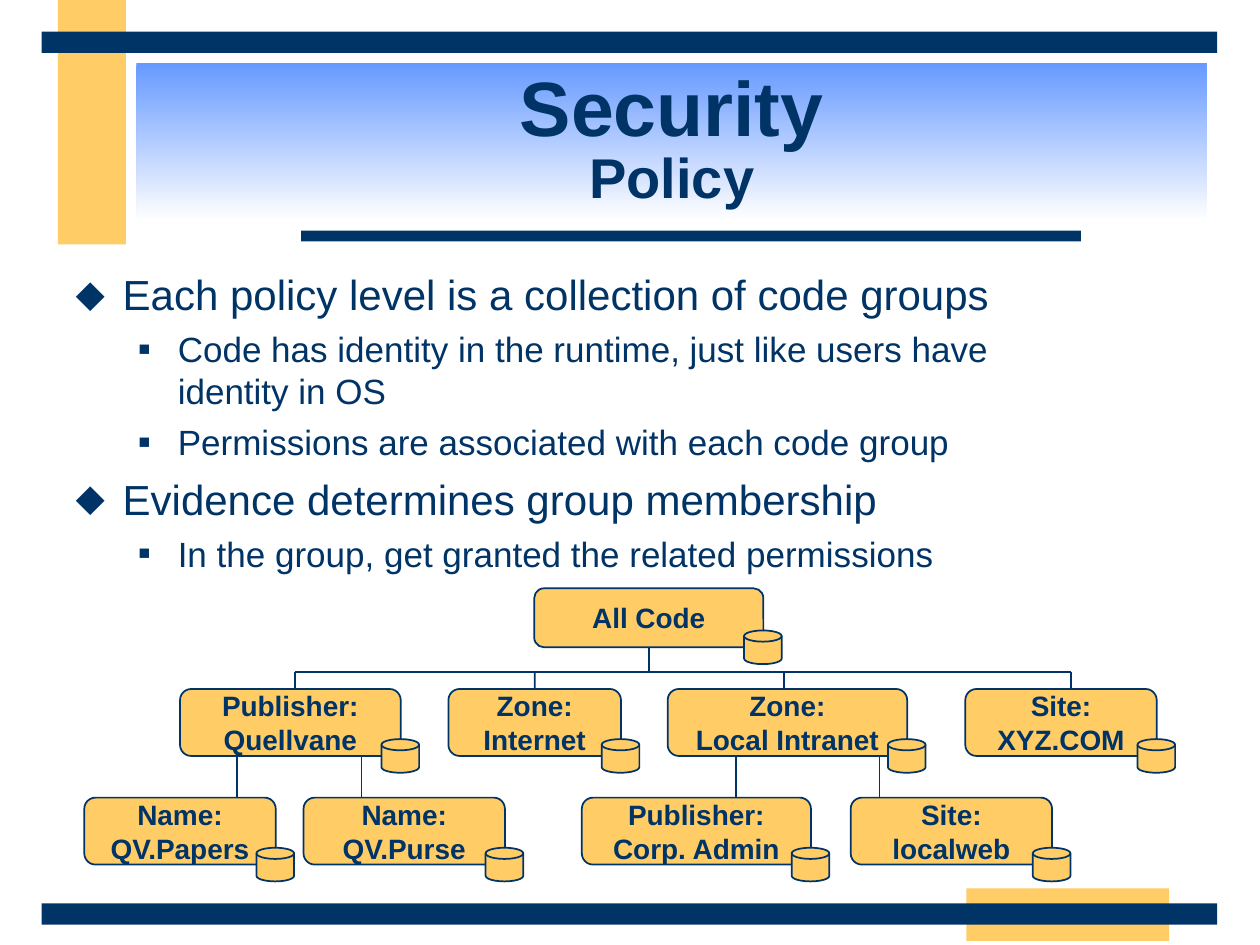
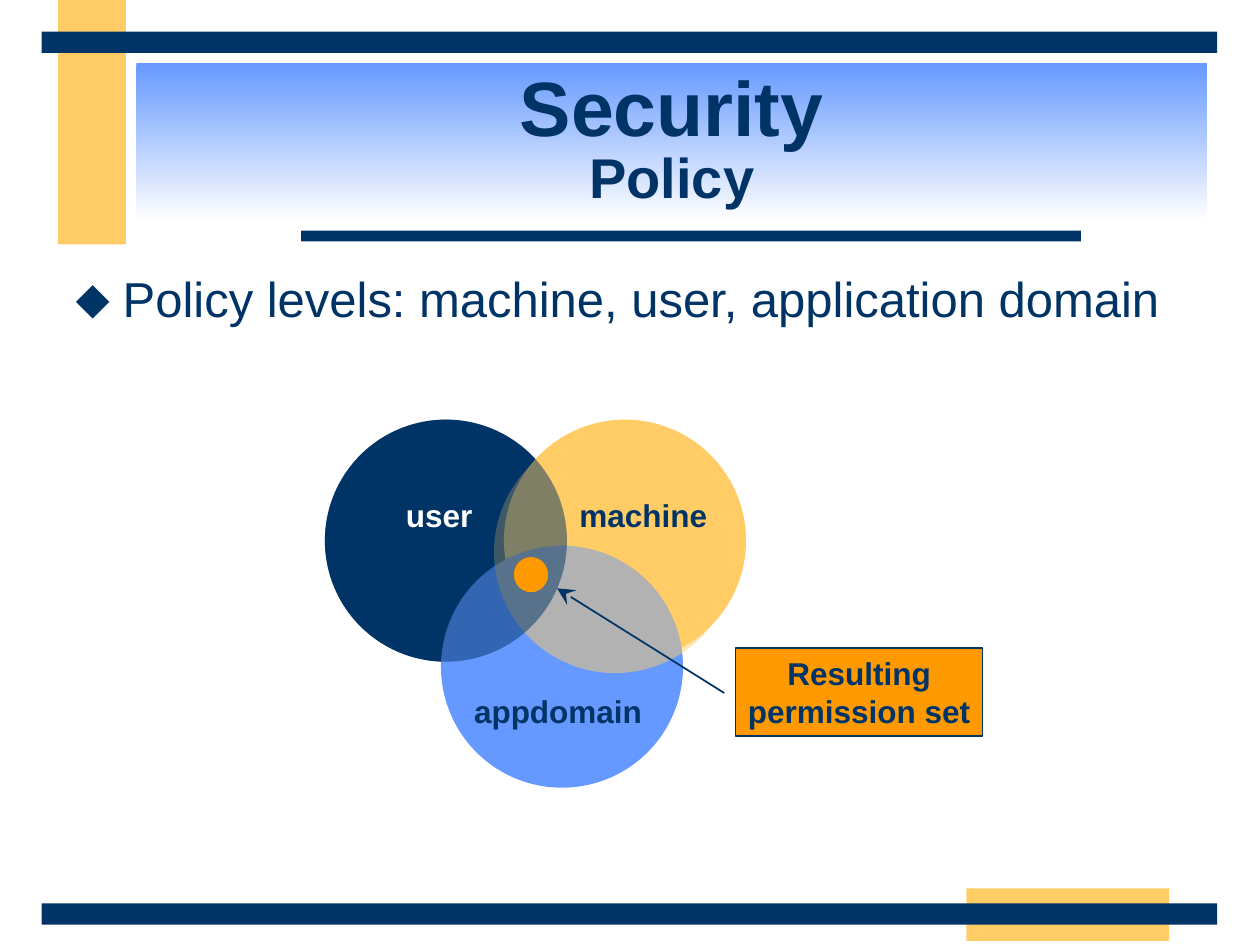
"""Build two slides on security policy: a code group tree and a policy level diagram."""
from lxml.etree import SubElement
from pptx import Presentation
from pptx.dml.color import RGBColor
from pptx.enum.shapes import MSO_CONNECTOR as LINK, MSO_SHAPE as SHAPE
from pptx.enum.text import MSO_ANCHOR as ANCHOR, MSO_AUTO_SIZE as FIT, PP_ALIGN as ALIGN
from pptx.oxml.ns import qn
from pptx.util import Cm, Pt

NAVY, SAND, BLUE, ORANGE, WHITE = "003366", "FFCC66", "6699FF", "FF9900", "FFFFFF"

BANDS = [
    (SAND, (1.17, 0, 1.37, 4.93)),
    (SAND, (19.48, 17.91, 4.09, 1.06)),
    (NAVY, (6.07, 4.65, 15.72, 0.22)),
    (NAVY, (0.84, 18.21, 23.7, 0.43)),
    (NAVY, (0.84, 0.64, 23.7, 0.43)),
]
TITLE = [("Security", 44), ("Policy", 32)]
TITLE_AREA = (2.75, 1.27, 21.59, 3.18)
BODY_AREA = (1.27, 5.29, 22.86, 12.5)
LEVELS = [
    {"bullet": "⬥", "percent": 100, "left": 0.95, "hanging": 0.95},
    {"bullet": "■", "percent": 55, "left": 2.06, "hanging": 0.79},
]

GROUP_POINTS = [
    (0, "Each policy level is a collection of code groups", 24, 6),
    (1, "Code has identity in the runtime, just like users have\videntity in OS", 20, 5),
    (1, "Permissions are associated with each code group", 20, 5),
    (0, "Evidence determines group membership", 24, 6),
    (1, "In the group, get granted the related permissions", 20, 5),
]
LEVEL_POINTS = [(0, "Policy levels: machine, user, application domain", 28, 7)]

ROOT_GROUP = (["All Code"], (10.77, 11.86, 4.62, 1.19))
GROUP_HEIGHT, BUS_Y = 1.35, 13.54
GROUP_ROWS = [
    {"top": 13.89, "link_top": BUS_Y, "groups": [
        (["Publisher:", "Quellvane"], 3.63, 4.45, 5.94),
        (["Zone:", "Internet"], 9.04, 3.48, 10.78),
        (["Zone:", "Local Intranet"], 13.46, 4.83, 15.8),
        (["Site:", "XYZ.COM"], 19.46, 3.86, 21.59)]},
    {"top": 16.08, "link_top": 15.24, "groups": [
        (["Name:", "QV.Papers"], 1.7, 3.86, 4.78),
        (["Name:", "QV.Purse"], 6.12, 4.06, 7.29),
        (["Publisher:", "Corp. Admin"], 11.73, 4.62, 14.83),
        (["Site:", "localweb"], 17.15, 4.06, 17.73)]},
]

DIAMETER = 4.88
CIRCLES = [
    (NAVY, 6.55, 8.46, 100),
    (SAND, 10.16, 8.46, 100),
    (BLUE, 8.89, 11, 100),
    (SAND, 9.96, 8.69, 50),
    (NAVY, 6.55, 8.46, 50),
]
LEVEL_NAMES = [
    ("machine", NAVY, (11.32, 9.87, 3.3, 1.02)),
    ("user", WHITE, (7.84, 9.87, 2.03, 1.02)),
    ("appdomain", NAVY, (9.2, 13.82, 4.1, 1.02)),
]
RESULT_DOT = (10.36, 11.23, 0.69, 0.71)
RESULT = (["Resulting", "permission set"], (14.83, 13.06, 4.98, 1.78))
RESULT_ARROW = (14.6, 13.97, 11.23, 11.86)


def rgb(code):
    return RGBColor.from_string(code)


def cm(lengths):
    return [Cm(length) for length in lengths]


def apply(target, **values):
    for attribute, value in values.items():
        setattr(target, attribute, value)


def style(paragraph, size, color=NAVY, bold=False):
    for run in paragraph.runs:
        apply(run.font, name="Arial", size=Pt(size), bold=bold)
        run.font.color.rgb = rgb(color)


def write(frame, lines, size, color=NAVY, anchor=ANCHOR.MIDDLE):
    apply(frame, word_wrap=False, vertical_anchor=anchor)
    for number, line in enumerate(lines):
        paragraph = frame.add_paragraph() if number else frame.paragraphs[0]
        apply(paragraph, text=line, alignment=ALIGN.CENTER)
        style(paragraph, size, color, True)


def draw(slide, preset, area, fill, outlined=False, opacity=100):
    shape = slide.shapes.add_shape(preset, *cm(area))
    shape.shadow.inherit = False
    shape.fill.solid()
    shape.fill.fore_color.rgb = rgb(fill)
    if outlined:
        shape.line.color.rgb = rgb(NAVY)
        shape.line.width = Pt(1)
    else:
        shape.line.fill.background()
    if opacity < 100:
        color = shape.element.spPr.find(".//" + qn("a:srgbClr"))
        SubElement(color, qn("a:alpha"), val=str(opacity * 1000))
    return shape


def connect(slide, *ends):
    link = slide.shapes.add_connector(LINK.STRAIGHT, *cm(ends))
    link.line.color.rgb = rgb(NAVY)
    link.line.width = Pt(1)
    SubElement(link.element.spPr, qn("a:effectLst"))
    return link


def place(holder, area):
    apply(holder, **dict(zip(("left", "top", "width", "height"), cm(area))))
    apply(holder.text_frame, auto_size=FIT.NONE, word_wrap=True)


def add_title(slide):
    title = slide.shapes.title
    place(title, TITLE_AREA)
    title.fill.gradient()
    title.fill.gradient_angle = 270
    for stop, color in zip(title.fill.gradient_stops, (BLUE, WHITE)):
        stop.color.rgb = rgb(color)
    title.text_frame.vertical_anchor = ANCHOR.MIDDLE
    heading = title.text_frame.paragraphs[0]
    apply(heading, text="\v".join(text for text, _ in TITLE),
          alignment=ALIGN.CENTER, line_spacing=0.85)
    style(heading, 44, bold=True)
    for run, (_, size) in zip(heading.runs, TITLE):
        run.font.size = Pt(size)


def add_points(slide, points):
    body = slide.placeholders[1]
    place(body, BODY_AREA)
    for number, (level, text, size, gap) in enumerate(points):
        look = LEVELS[level]
        point = body.text_frame.add_paragraph() if number else body.text_frame.paragraphs[0]
        apply(point, text=text, level=level)
        props = point._p.get_or_add_pPr()
        props.set("marL", str(Cm(look["left"])))
        props.set("indent", str(-Cm(look["hanging"])))
        SubElement(SubElement(props, qn("a:buClr")), qn("a:srgbClr"), val=NAVY)
        SubElement(props, qn("a:buSzPct"), val=str(look["percent"] * 1000))
        SubElement(props, qn("a:buChar"), char=look["bullet"])
        point.space_before = Pt(gap if number else 0)
        style(point, size)


def add_slide(deck, points):
    slide = deck.slides.add_slide(deck.slide_layouts[1])
    for color, area in BANDS:
        draw(slide, SHAPE.RECTANGLE, area, color)
    add_title(slide)
    add_points(slide, points)
    return slide


def add_group(slide, lines, area):
    left, top, width, height = area
    group = draw(slide, SHAPE.ROUNDED_RECTANGLE, area, SAND, True)
    write(group.text_frame, lines, 16)
    permissions = (left + width - 0.39, top + height - 0.34, 0.76, 0.68)
    draw(slide, SHAPE.FLOWCHART_MAGNETIC_DISK, permissions, SAND, True)
    return group


def add_group_tree(slide):
    lines, (left, top, width, height) = ROOT_GROUP
    root = add_group(slide, lines, (left, top, width, height))
    middle = left + width / 2
    connect(slide, middle, top + height, middle, BUS_Y).begin_connect(root, 2)
    drops = [drop for *_, drop in GROUP_ROWS[0]["groups"]]
    connect(slide, drops[0], BUS_Y, drops[-1], BUS_Y)
    for row in GROUP_ROWS:
        for lines, left, width, drop in row["groups"]:
            group = add_group(slide, lines, (left, row["top"], width, GROUP_HEIGHT))
            link = connect(slide, drop, row["link_top"], drop, row["top"])
            if abs(left + width / 2 - drop) < 0.05:
                link.end_connect(group, 0)


def add_level_circles(slide):
    for color, left, top, opacity in CIRCLES:
        draw(slide, SHAPE.OVAL, (left, top, DIAMETER, DIAMETER), color, opacity=opacity)
    for name, color, area in LEVEL_NAMES:
        label = slide.shapes.add_textbox(*cm(area))
        write(label.text_frame, [name], 18, color, ANCHOR.TOP)
    draw(slide, SHAPE.OVAL, RESULT_DOT, ORANGE)
    lines, area = RESULT
    result = draw(slide, SHAPE.RECTANGLE, area, ORANGE, True)
    write(result.text_frame, lines, 18, anchor=ANCHOR.TOP)
    arrow = connect(slide, *RESULT_ARROW)
    SubElement(arrow.line._get_or_add_ln(), qn("a:tailEnd"), type="stealth", w="lg", len="lg")


def main():
    deck = Presentation()
    apply(deck, slide_width=Cm(25.4), slide_height=Cm(19.05))
    add_group_tree(add_slide(deck, GROUP_POINTS))
    add_level_circles(add_slide(deck, LEVEL_POINTS))
    deck.save("out.pptx")


if __name__ == "__main__":
    main()
